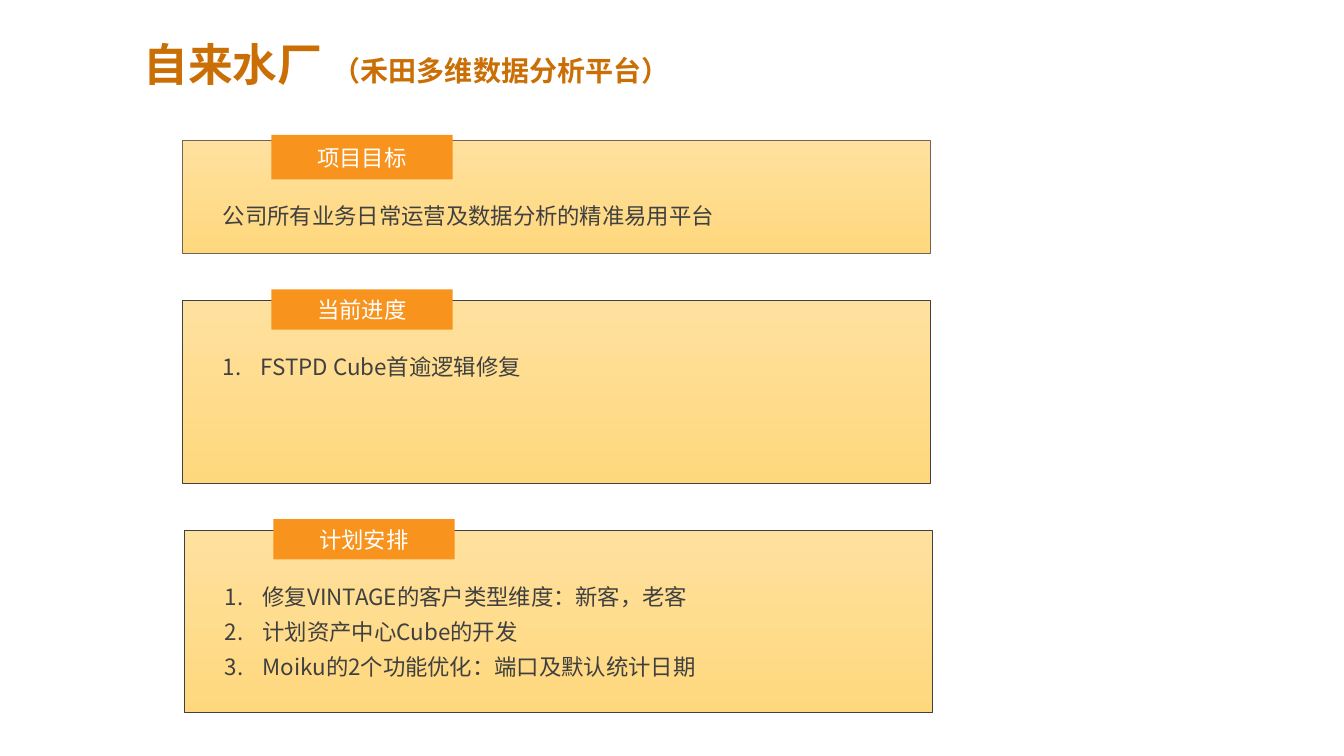
from lxml.etree import SubElement
from pptx import Presentation
from pptx.dml.color import RGBColor
from pptx.enum.shapes import MSO_SHAPE
from pptx.enum.text import MSO_ANCHOR, MSO_AUTO_SIZE, PP_ALIGN
from pptx.oxml.ns import qn
from pptx.util import Cm, Pt


def color(value):
    return RGBColor.from_string(value)


def write(paragraph, text, font, size, fill, bold=False, align=PP_ALIGN.LEFT, spacing=1.0):
    paragraph.alignment = align
    paragraph.line_spacing = spacing
    run = paragraph.add_run()
    run.text = text
    run.font.name = font
    run.font.size = Pt(size)
    run.font.bold = bold
    run.font.color.rgb = color(fill)
    SubElement(run.font._element, qn("a:ea")).set("typeface", "Noto Sans CJK SC")


def number(paragraph):
    properties = paragraph._p.get_or_add_pPr()
    properties.set("marL", str(Cm(0.95)))
    properties.set("indent", str(-Cm(0.95)))
    SubElement(properties, qn("a:buFont")).set("typeface", "+mj-lt")
    SubElement(properties, qn("a:buAutoNum")).set("type", "arabicPeriod")


class ProjectSlide:
    title_font = "Montserrat"
    body_font = "Noto Sans CJK SC"
    title_color = "CA6F06"
    text_color = "404040"
    tag_color = "F8931D"
    gradient = ("FFE19F", "FFD87D")

    def __init__(self, presentation):
        self.slide = presentation.slides.add_slide(presentation.slide_layouts[5])

    def title(self, name, subtitle):
        shape = self.slide.shapes.title
        shape.left, shape.top, shape.width, shape.height = Cm(2.34), Cm(1.02), Cm(21.26), Cm(1.35)
        frame = shape.text_frame
        frame.auto_size = MSO_AUTO_SIZE.NONE
        frame.vertical_anchor = MSO_ANCHOR.MIDDLE
        frame.margin_left = Cm(1.27)
        for text, size in ((name, 32), (subtitle, 20)):
            write(frame.paragraphs[0], text, self.title_font, size, self.title_color,
                  bold=True, spacing=0.9)

    def rectangle(self, left, top, width, height):
        shape = self.slide.shapes.add_shape(
            MSO_SHAPE.RECTANGLE, Cm(left), Cm(top), Cm(width), Cm(height))
        shape.shadow.inherit = False
        return shape

    def panel(self, left, top, height, line):
        shape = self.rectangle(left, top, 18.85, height)
        shape.fill.gradient()
        shape.fill.gradient_angle = 270
        for stop, value in zip(shape.fill.gradient_stops, self.gradient):
            stop.color.rgb = color(value)
        shape.line.color.rgb = color(line)
        shape.line.width = Pt(0.5)

    def insets(self, frame):
        frame.word_wrap = True
        frame.margin_left = frame.margin_right = Cm(0.2)
        frame.margin_top = frame.margin_bottom = Cm(0.1)

    def tag(self, text, left, top, height):
        shape = self.rectangle(left, top, 4.57, height)
        shape.fill.solid()
        shape.fill.fore_color.rgb = color(self.tag_color)
        shape.line.fill.background()
        frame = shape.text_frame
        self.insets(frame)
        frame.vertical_anchor = MSO_ANCHOR.MIDDLE
        write(frame.paragraphs[0], text, self.body_font, 16, "FFFFFF", align=PP_ALIGN.CENTER)

    def body(self, lines, left, top, width, numbered):
        box = self.slide.shapes.add_textbox(
            Cm(left), Cm(top), Cm(width), Cm(0.1 + 0.92 * len(lines)))
        frame = box.text_frame
        self.insets(frame)
        frame.auto_size = MSO_AUTO_SIZE.SHAPE_TO_FIT_TEXT
        for index, line in enumerate(lines):
            paragraph = frame.add_paragraph() if index else frame.paragraphs[0]
            write(paragraph, line, self.body_font, 16, self.text_color, spacing=1.3)
            if numbered:
                number(paragraph)

    def section(self, heading, lines, left, top, height, tag_rise=0.28, tag_height=1.02,
                body_drop=1.03, body_width=18.0, line="404040", numbered=True):
        self.panel(left, top, height, line)
        self.tag(heading, left + 2.24, top - tag_rise, tag_height)
        self.body(lines, left + 0.82, top + body_drop, body_width, numbered)


def main():
    presentation = Presentation()
    presentation.slide_width, presentation.slide_height = Cm(33.87), Cm(19.05)
    slide = ProjectSlide(presentation)
    slide.title("自来水厂 ", "（禾田多维数据分析平台）")
    slide.section("项目目标", ["公司所有业务日常运营及数据分析的精准易用平台"], 4.6, 3.55, 2.84,
                  tag_rise=0.15, tag_height=1.12, body_drop=1.23, body_width=16.74,
                  line="746256", numbered=False)
    slide.section("当前进度", ["FSTPD Cube首逾逻辑修复"], 4.6, 7.57, 4.6)
    slide.section("计划安排", [
        "修复VINTAGE的客户类型维度：新客，老客",
        "计划资产中心Cube的开发",
        "Moiku的2个功能优化：端口及默认统计日期",
    ], 4.65, 13.36, 4.6)
    presentation.save("out.pptx")


if __name__ == "__main__":
    main()
